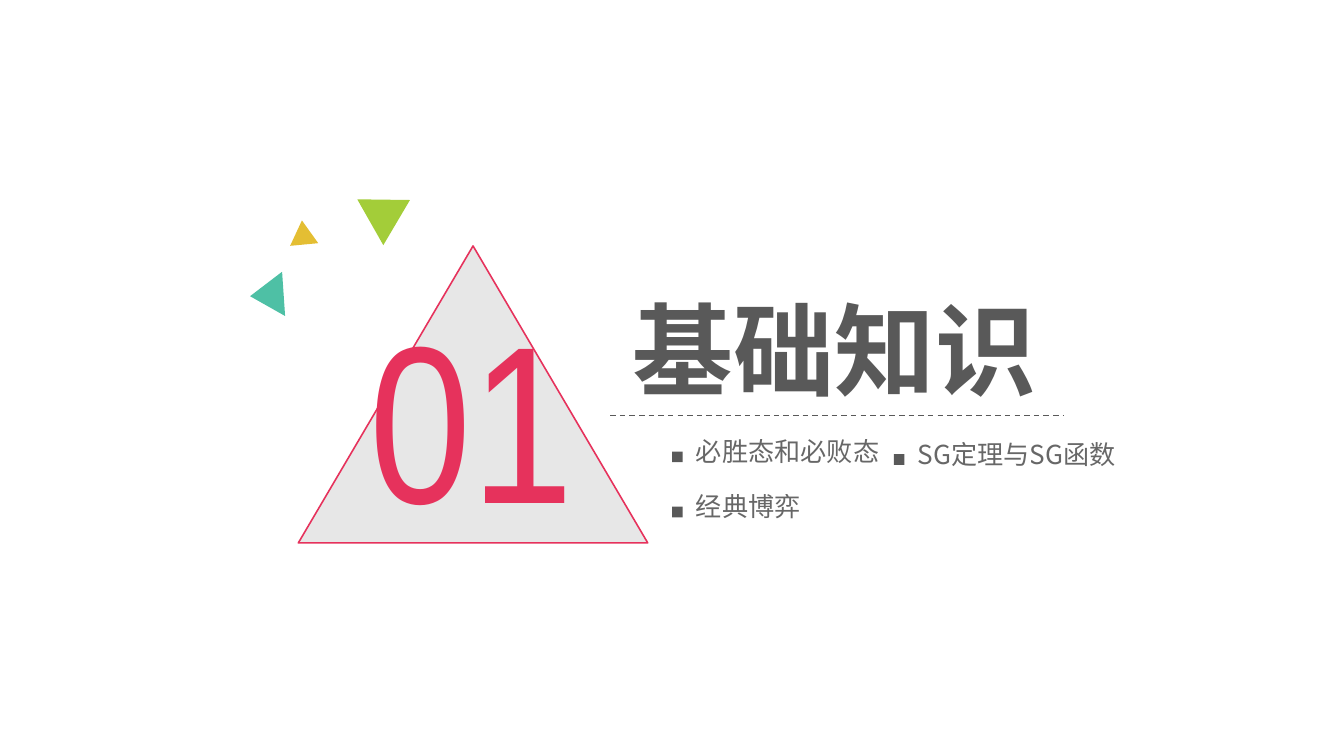
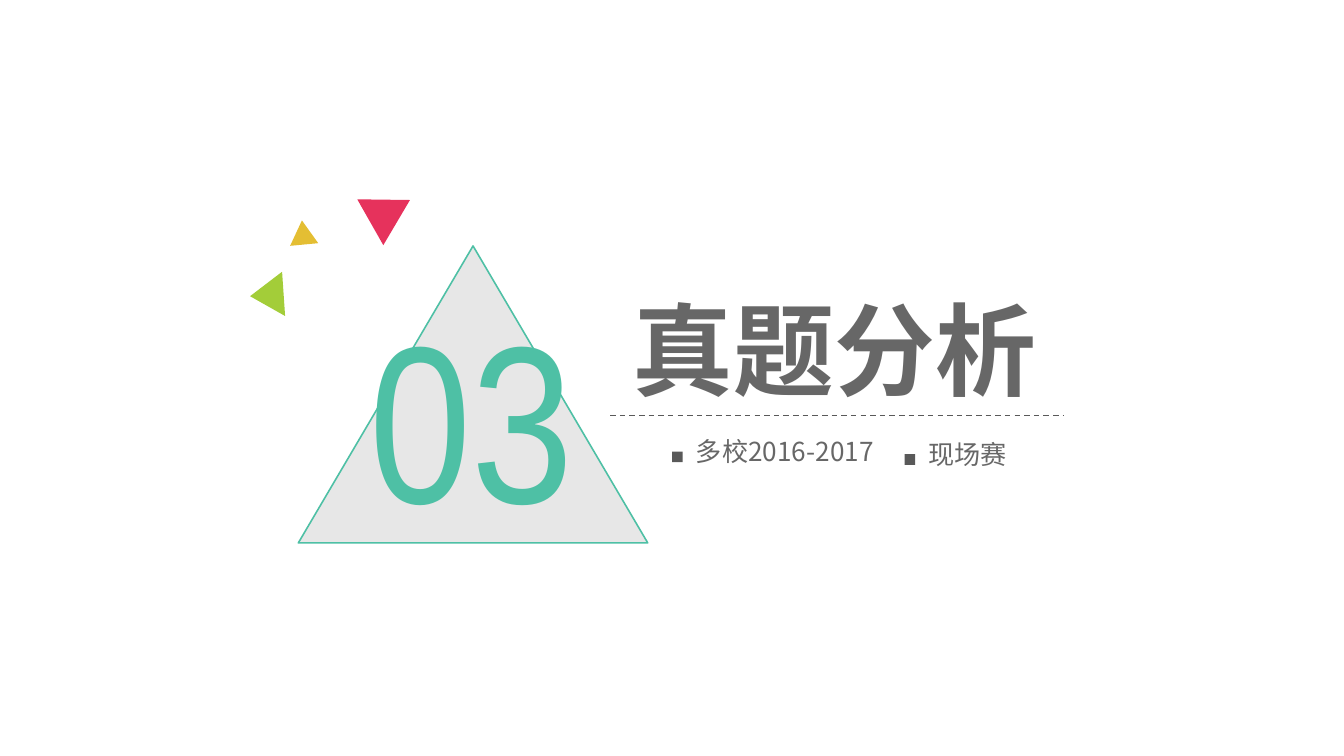
from dataclasses import dataclass

from lxml.etree import SubElement
from pptx import Presentation
from pptx.dml.color import RGBColor
from pptx.enum.dml import MSO_LINE
from pptx.enum.shapes import MSO_CONNECTOR, MSO_SHAPE
from pptx.enum.text import MSO_AUTO_SIZE
from pptx.oxml.ns import qn
from pptx.util import Inches, Pt

GRAY = RGBColor(0x59, 0x59, 0x59)
RED = RGBColor(0xE6, 0x32, 0x5C)
GREEN = RGBColor(0xA3, 0xCD, 0x39)
GOLD = RGBColor(0xE4, 0xBE, 0x33)
TEAL = RGBColor(0x4E, 0xC0, 0xA5)
HAN = "Noto Sans CJK SC"
SLIM = "Arial Narrow"
SOFT = 91


@dataclass(frozen=True)
class Box:
    """A frame in inches, with its turn in degrees."""
    left: float
    top: float
    width: float
    height: float
    turn: float = 0

    def frame(self) -> tuple:
        """Return the frame as lengths."""
        return tuple(Inches(v) for v in (self.left, self.top, self.width, self.height))


@dataclass(frozen=True)
class Font:
    """The look of a run of text."""
    name: str
    size: int
    color: RGBColor
    alpha: int = 100
    bold: bool = False


@dataclass(frozen=True)
class Item:
    """A topic with a square marker."""
    text: str
    left: float
    top: float
    width: float
    wrap: bool = False


@dataclass(frozen=True)
class Part:
    """The content of one section slide."""
    number: str
    span: float
    title: str
    alpha: int
    color: RGBColor
    chips: tuple[RGBColor, ...]
    items: tuple[Item, ...]


PEAK = Box(2.22, 1.83, 2.6, 2.21)
CHIPS = (
    Box(2.61, 1.4, 0.39, 0.34, 300.6),
    Box(2.15, 1.64, 0.21, 0.18, 354.7),
    Box(1.82, 2.07, 0.33, 0.25, 266.1),
)
PARTS = (
    Part("01", 1.75, "基础知识", 100, RED, (GREEN, GOLD, TEAL), (
        Item("必胜态和必败态", 5, 3.19, 1.58),
        Item("SG定理与SG函数", 6.65, 3.21, 1.7, True),
        Item("经典博弈", 5, 3.6, 0.99),
    )),
    Part("03", 2, "真题分析", SOFT, TEAL, (RED, GOLD, GREEN), (
        Item("多校2016-2017", 5, 3.19, 1.6),
        Item("现场赛", 6.73, 3.21, 0.79),
    )),
)


def fade(fill, alpha: int) -> None:
    """Give a solid fill its opacity in percent."""
    if alpha < 100:
        tint = fill.find(".//" + qn("a:srgbClr"))
        SubElement(tint, qn("a:alpha"), val=str(alpha * 1000))


def add_form(shapes, kind: MSO_SHAPE, box: Box, color: RGBColor, alpha: int = 100):
    """Draw a flat preset shape without an outline."""
    form = shapes.add_shape(kind, *box.frame())
    form.rotation = box.turn
    form.shadow.inherit = False
    form.fill.solid()
    form.fill.fore_color.rgb = color
    fade(form.element.spPr.find(qn("a:solidFill")), alpha)
    form.line.fill.background()
    return form


def add_text(shapes, text: str, box: Box, font: Font, wrap: bool = False) -> None:
    """Write one line of text in a box."""
    frame = shapes.add_textbox(*box.frame()).text_frame
    frame.word_wrap = wrap
    frame.auto_size = MSO_AUTO_SIZE.SHAPE_TO_FIT_TEXT
    run = frame.paragraphs[0].add_run()
    run.text = text
    run.font.size = Pt(font.size)
    run.font.bold = font.bold
    run.font.color.rgb = font.color
    run.font.name = font.name
    props = run.font._element
    fade(props.find(qn("a:solidFill")), font.alpha)
    SubElement(props, qn("a:ea"), typeface=font.name)


def add_rule(shapes) -> None:
    """Draw the dashed rule under the title."""
    rule = shapes.add_connector(MSO_CONNECTOR.STRAIGHT, Inches(4.54), Inches(3.09),
                                Inches(7.91), Inches(3.09))
    rule.line.color.rgb = GRAY
    rule.line.width = Pt(0.75)
    rule.line.dash_style = MSO_LINE.DASH
    SubElement(rule.element.spPr, qn("a:effectLst"))


def add_item(shapes, item: Item) -> None:
    """Draw a topic and its marker as a group."""
    group = shapes.add_group_shape().shapes
    mark = Box(item.left, item.top + 0.17, 0.08, 0.08)
    add_form(group, MSO_SHAPE.RECTANGLE, mark, GRAY)
    box = Box(item.left + 0.08, item.top, item.width, 0.34)
    add_text(group, item.text, box, Font(HAN, 14, GRAY, SOFT), item.wrap)


def add_part(deck, part: Part) -> None:
    """Build one section slide."""
    shapes = deck.slides.add_slide(deck.slide_layouts[6]).shapes
    peak = add_form(shapes, MSO_SHAPE.ISOSCELES_TRIANGLE, PEAK, GRAY, 14)
    peak.line.color.rgb = part.color
    peak.line.width = Pt(0.85)
    add_text(shapes, part.number, Box(2.65, 2.03, part.span, 2.12),
             Font(SLIM, 120, part.color))
    add_text(shapes, part.title, Box(4.61, 2.09, 3.23, 1.01),
             Font(HAN, 54, GRAY, part.alpha, True))
    add_rule(shapes)
    for box, color in zip(CHIPS, part.chips):
        add_form(shapes, MSO_SHAPE.ISOSCELES_TRIANGLE, box, color)
    for item in part.items:
        add_item(shapes, item)


def main() -> None:
    """Build and save the deck."""
    deck = Presentation()
    deck.slide_width = Inches(10)
    deck.slide_height = Inches(10 * 9 / 16)
    for part in PARTS:
        add_part(deck, part)
    deck.save("out.pptx")


if __name__ == "__main__":
    main()
